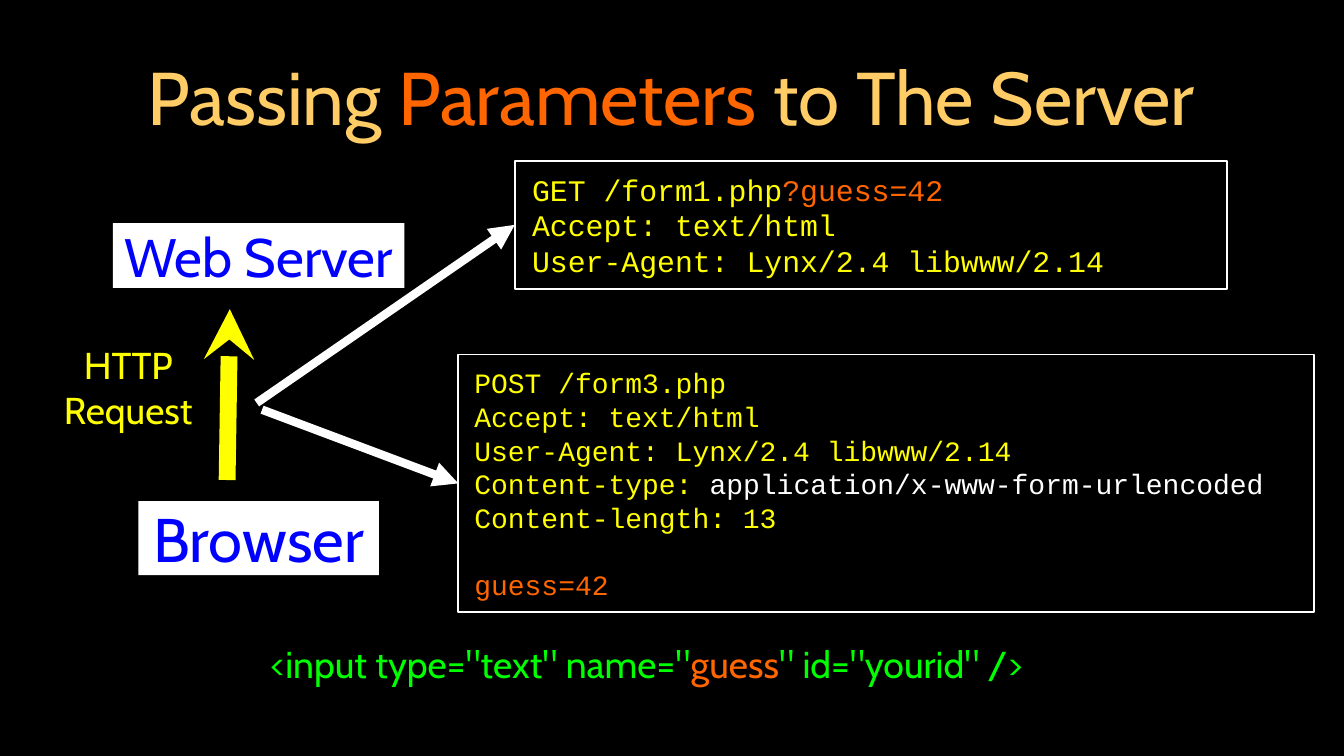
from lxml import etree
from pptx import Presentation, util as u
from pptx.dml.color import RGBColor
from pptx.enum import shapes, text
from pptx.oxml.ns import qn

THEME = {
    "black": "000000", "white": "FFFFFF", "gold": "FFCC66", "orange": "FF6600",
    "yellow": "FFFF00", "blue": "0000FF", "green": "00FF00",
    "body": "Cabin", "code": "Courier New",
    "title": 40, "server": 29, "browser": 33, "label": 20, "get": 16, "post": 15,
    "frame": 1, "request": 9, "pointer": 4.5,
}
WIDTH = u.Inches(10)
HEIGHT = u.Emu(WIDTH * 9 // 16)

TITLE = [[("Passing ", "gold"), ("Parameters", "orange"), (" to The Server", "gold")]]
GET = [
    [("GET /form1.php", "yellow"), ("?guess=42", "orange")],
    [("Accept: text/html", "yellow")],
    [("User-Agent: Lynx/2.4 libwww/2.14", "yellow")],
]
POST = [
    [("POST /form3.php", "yellow")],
    [("Accept: text/html", "yellow")],
    [("User-Agent: Lynx/2.4 libwww/2.14", "yellow")],
    [("Content-type: ", "yellow"), ("application/x-www-form-urlencoded", "white")],
    [("Content-length: 13", "yellow")],
    [("guess=42", "orange")],
]
REQUEST = [[("HTTP", "yellow")], [("Request", "yellow")]]
BROWSER = [[("Browser", "blue")]]
SERVER = [[("Web Server", "blue")]]
INPUT = [[('<input type="text" name="', "green"), ("guess", "orange"),
          ('" id="yourid" />', "green")]]

presentation = Presentation()
presentation.slide_width, presentation.slide_height = WIDTH, HEIGHT
slide = presentation.slides.add_slide(presentation.slide_layouts[6])


def color(name):
    return RGBColor.from_string(THEME[name])


def place(across, down):
    return int(WIDTH * across / 100), int(HEIGHT * down / 100)


def add_text(lines, area, size, font="body", fill=None, border=None, centered=True,
             wrap=True, indent=0, line_height=None, last_gap=0):
    bounds = *place(*area[:2]), *place(*area[2:])
    if fill or border:
        shape = slide.shapes.add_shape(shapes.MSO_SHAPE.RECTANGLE, *bounds)
        shape.shadow.inherit = False
        shape.fill.background()
        shape.line.fill.background()
    else:
        shape = slide.shapes.add_textbox(*bounds)
    if fill:
        shape.fill.solid()
        shape.fill.fore_color.rgb = color(fill)
    if border:
        shape.line.color.rgb = color(border)
        shape.line.width = u.Pt(THEME["frame"])
    frame = shape.text_frame
    frame.word_wrap = wrap
    frame.vertical_anchor = text.MSO_ANCHOR.MIDDLE
    frame.margin_left = u.Inches(indent)
    frame.margin_right = frame.margin_top = frame.margin_bottom = 0
    for index, runs in enumerate(lines):
        paragraph = frame.add_paragraph() if index else frame.paragraphs[0]
        paragraph.alignment = text.PP_ALIGN.CENTER if centered else text.PP_ALIGN.LEFT
        if line_height:
            paragraph.line_spacing = u.Pt(line_height)
        if last_gap and index == len(lines) - 1:
            paragraph.space_before = u.Pt(last_gap)
        for words, ink in runs:
            run = paragraph.add_run()
            run.text = words
            run.font.name, run.font.size = THEME[font], u.Pt(THEME[size])
            run.font.color.rgb = color(ink)
    return shape


def add_arrow(head, tail, ink, weight, style, target=None):
    arrow = slide.shapes.add_connector(
        shapes.MSO_CONNECTOR.STRAIGHT, *place(*head), *place(*tail))
    if target:
        arrow.begin_connect(target, 1)
    arrow.line.color.rgb = color(ink)
    arrow.line.width = u.Pt(THEME[weight])
    etree.SubElement(arrow.line._get_or_add_ln(), qn("a:headEnd"), type=style)
    etree.SubElement(arrow._element.spPr, qn("a:effectLst"))


slide.background.fill.solid()
slide.background.fill.fore_color.rgb = color("black")

add_text(TITLE, (7.1, 2.7, 85.7, 19.9), "title")
get_box = add_text(GET, (38.3, 21.3, 53, 16.9), "get", "code", border="white",
                   centered=False, indent=0.13, line_height=19)
post_box = add_text(POST, (34.1, 46.9, 63.7, 34.1), "post", "code", border="white",
                    centered=False, indent=0.12, line_height=18, last_gap=18)
add_text(REQUEST, (4.25, 45.3, 10.6, 11.9), "label", wrap=False)
add_text(BROWSER, (10.3, 66.3, 17.9, 9.8), "browser", fill="white", wrap=False)
add_text(SERVER, (8.4, 29.5, 21.7, 8.6), "server", fill="white", wrap=False)
add_text(INPUT, (16.9, 84.4, 66.3, 6.8), "label", centered=False, indent=0.32)

add_arrow((17.1, 40.9), (16.9, 63.5), "yellow", "request", "stealth")
add_arrow((38.3, 29.7), (19.1, 53.3), "white", "pointer", "triangle", get_box)
add_arrow((34.1, 64), (19.5, 54.2), "white", "pointer", "triangle", post_box)

presentation.save("out.pptx")
